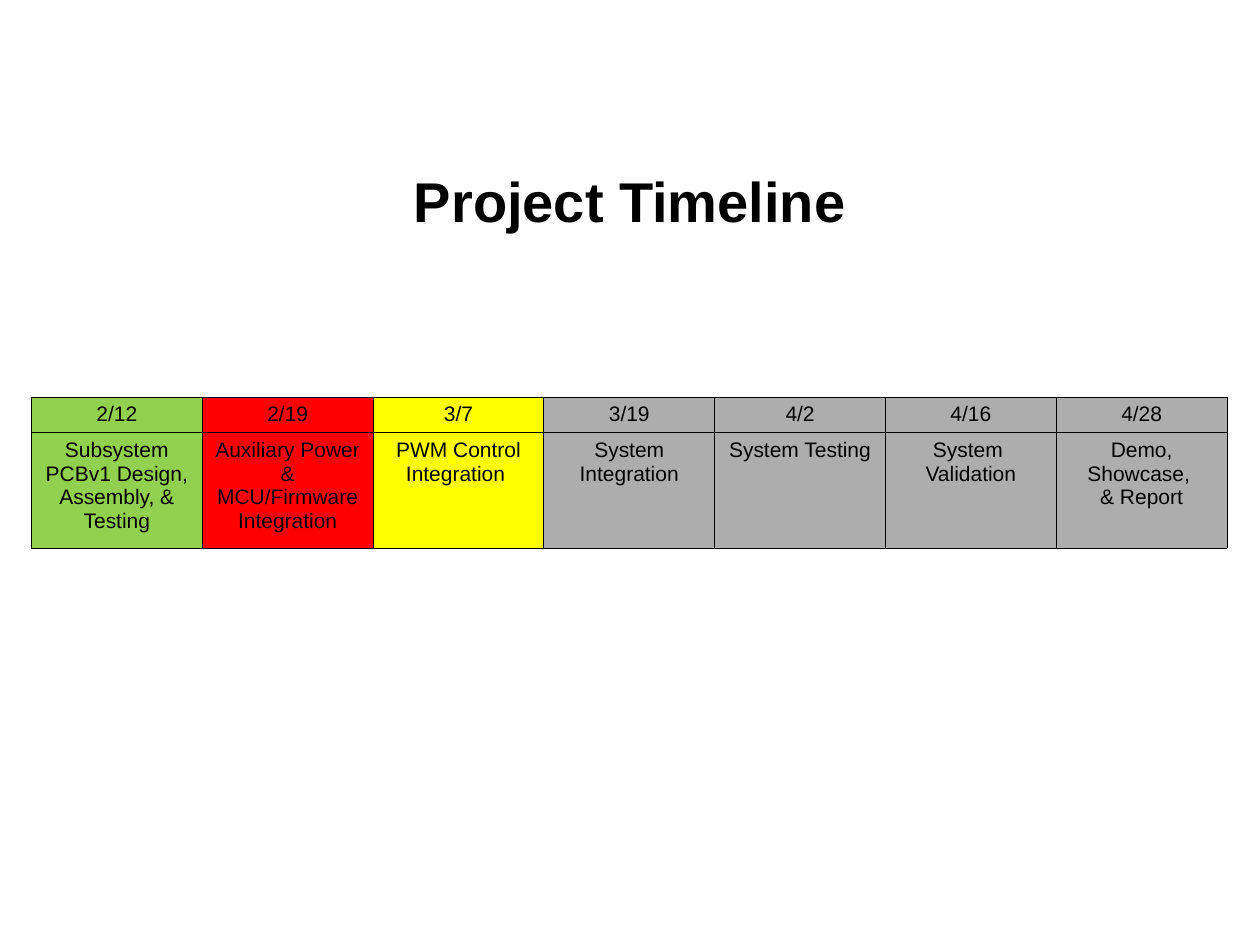
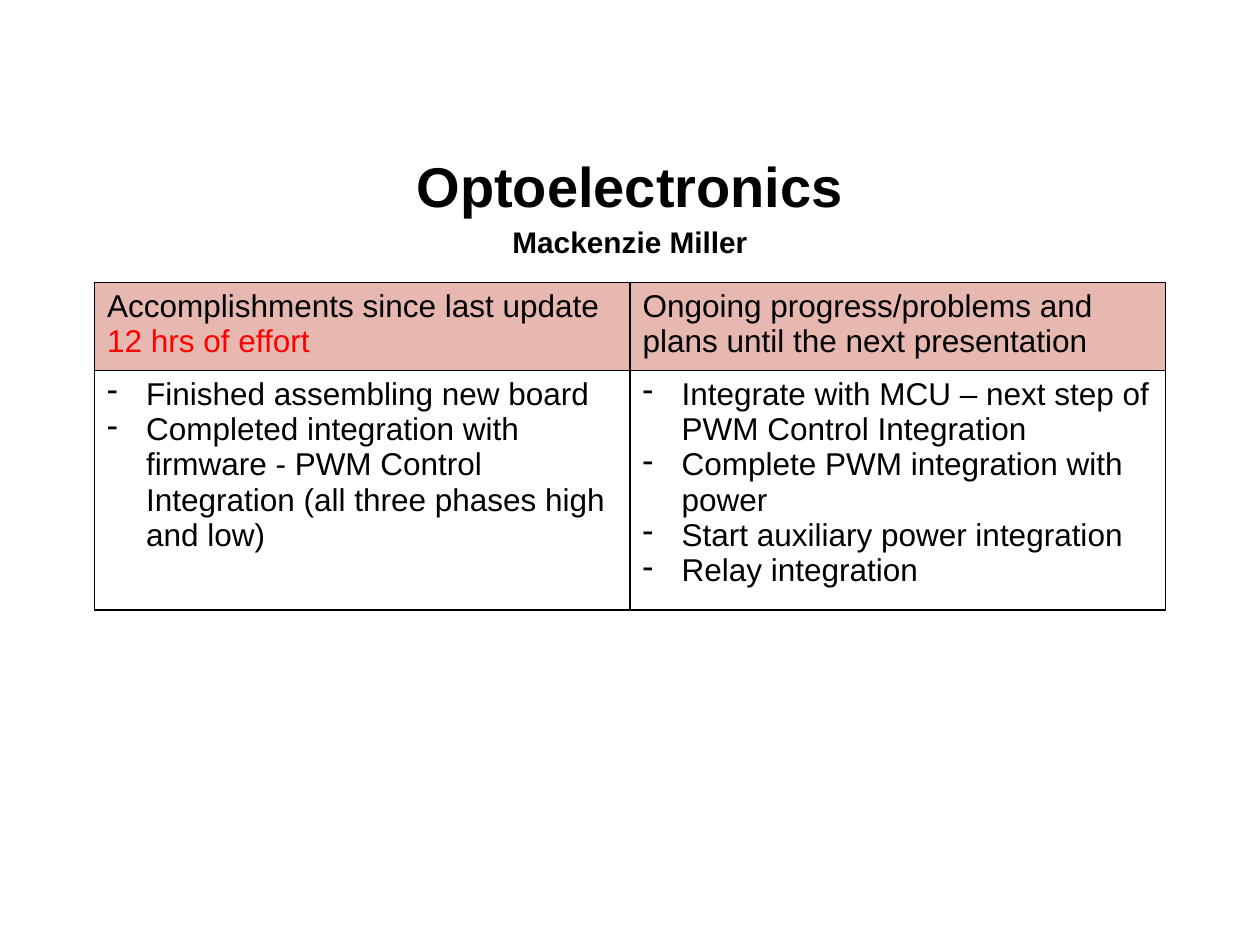
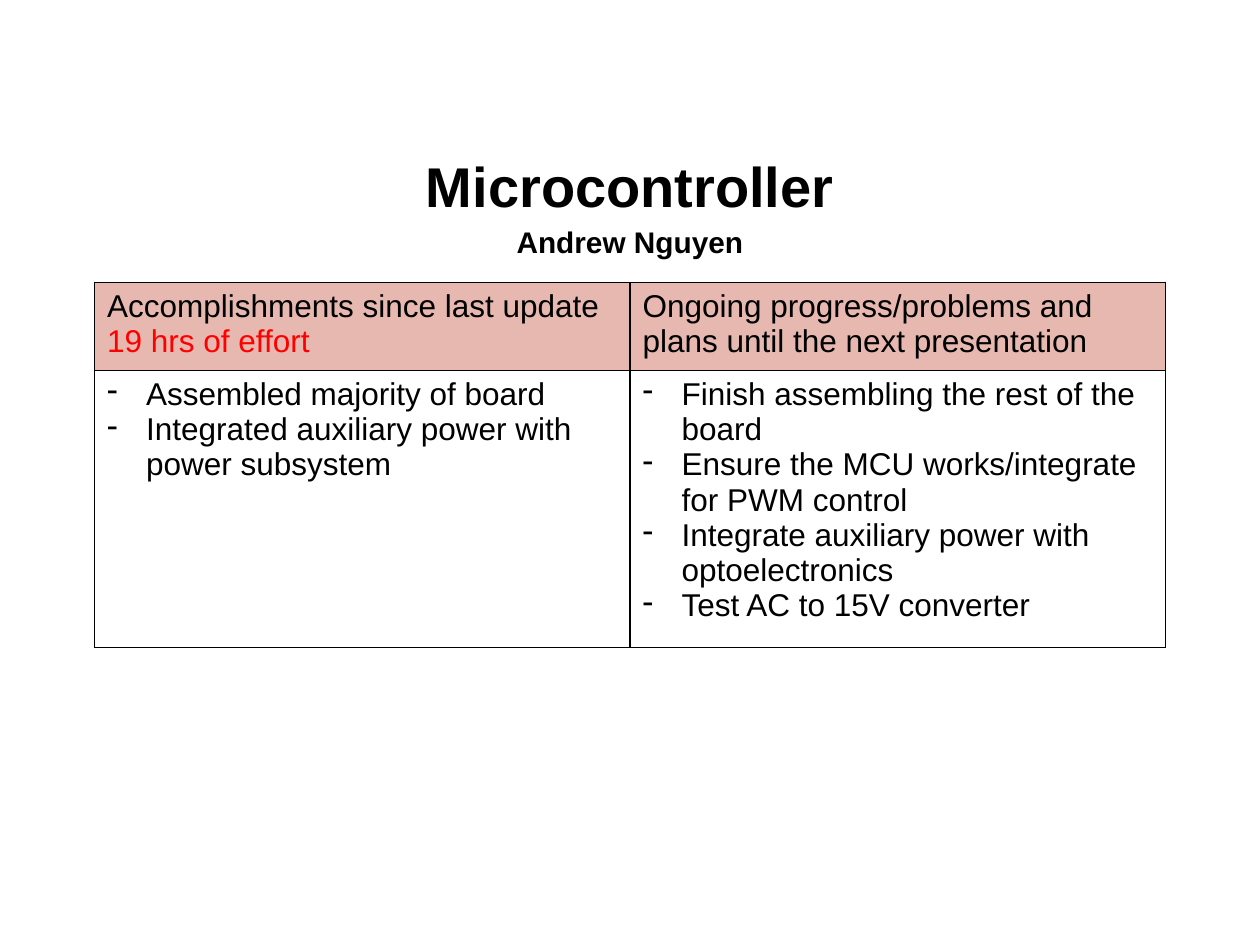
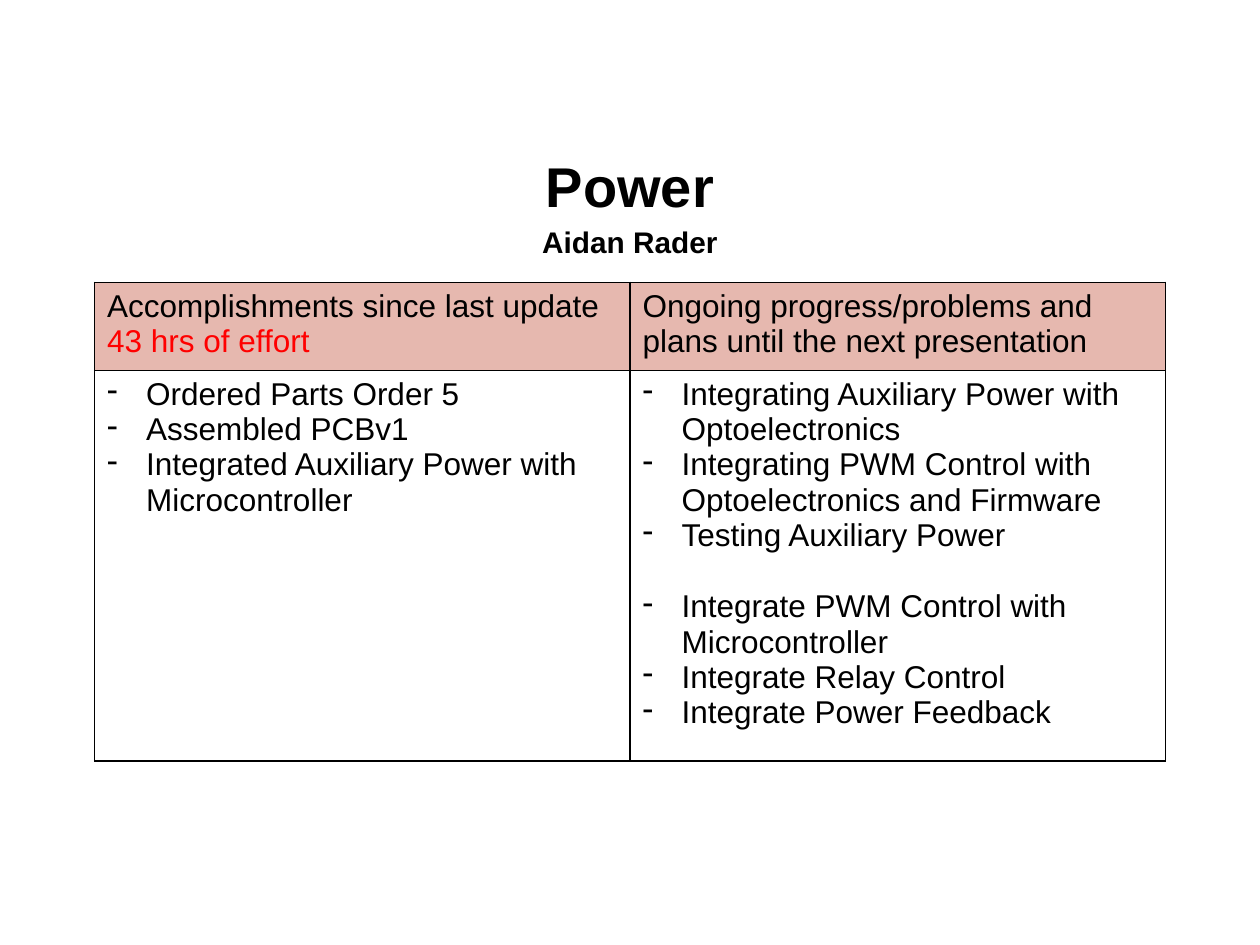
from lxml import etree
from pptx import Presentation
from pptx import util as u
from pptx.dml.color import RGBColor
from pptx.enum import text
from pptx.oxml import ns

PX = u.Inches(1) // 100
FONT = "Arial"
BLACK, RED, YELLOW, GREEN, GRAY, ROSE = (
    "000000", "FF0000", "FFFF00", "92D050", "ADADAD", "E6B8AF")
TITLE_BOX = (50, 115, 900, 88)
TIMELINE_BOX = (25, 315, 949, 120)
BLANK_LINE = 20.7

MILESTONES = [
    ("2/12", ["Subsystem PCBv1 Design, Assembly, & Testing"], GREEN),
    ("2/19", ["Auxiliary Power & MCU/Firmware Integration"], RED),
    ("3/7", ["PWM Control Integration "], YELLOW),
    ("3/19", ["System Integration"], GRAY),
    ("4/2", ["System Testing"], GRAY),
    ("4/16", ["System ", "Validation"], GRAY),
    ("4/28", ["Demo, Showcase, ", "& Report"], GRAY),
]

UPDATES = [
    dict(topic="Optoelectronics", member="Mackenzie Miller",
         effort=" 12 hrs of effort", height=260,
         done=["Finished assembling new board",
               "Completed integration with firmware - PWM Control Integration "
               "(all three phases high and low)"],
         plans=[["Integrate with MCU – next step of PWM Control Integration",
                 "Complete PWM integration with power",
                 "Start auxiliary power integration",
                 "Relay integration"]]),
    dict(topic="Microcontroller", member="Andrew Nguyen",
         effort="19 hrs of effort", height=290,
         done=["Assembled majority of board",
               "Integrated auxiliary power with power subsystem"],
         plans=[["Finish assembling the rest of the board",
                 "Ensure the MCU works/integrate for PWM control",
                 "Integrate auxiliary power with optoelectronics",
                 "Test AC to 15V converter"]]),
    dict(topic="Power", member="Aidan Rader",
         effort="43 hrs of effort", height=380,
         done=["Ordered Parts Order 5",
               "Assembled PCBv1",
               "Integrated Auxiliary Power with Microcontroller"],
         plans=[["Integrating Auxiliary Power with Optoelectronics",
                 "Integrating PWM Control with Optoelectronics and Firmware",
                 "Testing Auxiliary Power"],
                ["Integrate PWM Control with Microcontroller",
                 "Integrate Relay Control",
                 "Integrate Power Feedback"]]),
]


def px(length):
    return u.Emu(length * PX)


def color(value):
    return RGBColor.from_string(value)


def add_dash(para):
    props = para._p.get_or_add_pPr()
    props.set("marL", str(px(31)))
    props.set("indent", str(px(-31)))
    etree.SubElement(props, ns.qn("a:buChar")).set("char", "-")


def write(frame, words, size=18, ink=BLACK, bold=False, align=None,
          spacing=None, before=None, dash=False, same_para=False):
    para = frame.paragraphs[-1]
    if para.runs and not same_para:
        para = frame.add_paragraph()
    if dash:
        add_dash(para)
    if align is not None:
        para.alignment = align
    if spacing:
        para.line_spacing = spacing
    if before:
        para.space_before = u.Pt(before)
    span = para.add_run()
    span.text = words
    span.font.name = FONT
    span.font.size = u.Pt(size)
    span.font.bold = bold
    span.font.color.rgb = color(ink)


def set_margins(target, left=10, top=5, right=10, bottom=5):
    target.margin_left, target.margin_top = px(left), px(top)
    target.margin_right, target.margin_bottom = px(right), px(bottom)


def outline(cell, width):
    props = cell._tc.get_or_add_tcPr()
    for place, side in enumerate(("lnL", "lnR", "lnT", "lnB")):
        line = etree.Element(ns.qn(f"a:{side}"), w=str(u.Pt(width)))
        fill = etree.SubElement(line, ns.qn("a:solidFill"))
        etree.SubElement(fill, ns.qn("a:srgbClr"), val=BLACK)
        props.insert(place, line)


def add_grid(page, box, columns, row_heights, border):
    left, top, width, height = box
    table = page.shapes.add_table(
        len(row_heights), columns, px(left), px(top), px(width), px(height)).table
    table.first_row = table.horz_banding = False
    for column in table.columns:
        column.width = px(width) // columns
    for row, row_height in zip(table.rows, row_heights):
        row.height = px(row_height)
    for cell in table.iter_cells():
        set_margins(cell)
        cell.fill.background()
        outline(cell, border)
    return table


def paint(cell, value):
    cell.fill.solid()
    cell.fill.fore_color.rgb = color(value)


def add_page(deck, title, box, subtitle=None):
    page = deck.slides.add_slide(deck.slide_layouts[5])
    shape = page.shapes.title
    shape.left, shape.top, shape.width, shape.height = map(px, box)
    frame = shape.text_frame
    frame.auto_size = text.MSO_AUTO_SIZE.NONE
    frame.vertical_anchor = text.MSO_ANCHOR.MIDDLE
    set_margins(frame)
    style = dict(bold=True, align=text.PP_ALIGN.CENTER,
                 spacing=1.15 if subtitle else None)
    write(frame, title, size=32, **style)
    if subtitle:
        write(frame, subtitle, size=17, **style)
    return page


def add_timeline(page, box):
    table = add_grid(page, box, len(MILESTONES), (28, box[3] - 28), 0.5)
    for column, (date, tasks, status) in enumerate(MILESTONES):
        date_cell, task_cell = table.cell(0, column), table.cell(1, column)
        set_margins(date_cell, 1, 1, 1, 5)
        date_cell.vertical_anchor = text.MSO_ANCHOR.BOTTOM
        for cell, lines in ((date_cell, [date]), (task_cell, tasks)):
            paint(cell, status)
            for line in lines:
                write(cell.text_frame, line, size=12, align=text.PP_ALIGN.CENTER)


def add_update(page, box, effort, done, plans):
    table = add_grid(page, box, 2, (70, box[3] - 70), 1)
    for column in range(2):
        paint(table.cell(0, column), ROSE)
    heading = table.cell(0, 0).text_frame
    write(heading, "Accomplishments since last update ")
    write(heading, effort, ink=RED, same_para=True)
    write(table.cell(0, 1).text_frame,
          "Ongoing progress/problems and plans until the next presentation")
    for column, groups in enumerate(([done], plans)):
        frame = table.cell(1, column).text_frame
        for group_index, group in enumerate(groups):
            for item_index, item in enumerate(group):
                gap = BLANK_LINE if group_index and not item_index else None
                write(frame, item, dash=True, before=gap)


def main():
    deck = Presentation()
    deck.slide_width, deck.slide_height = px(1000), px(750)
    add_timeline(add_page(deck, "Project Timeline", TITLE_BOX), TIMELINE_BOX)
    for update in UPDATES:
        page = add_page(deck, update["topic"], TITLE_BOX, update["member"])
        add_update(page, (75, 224, 850, update["height"]),
                   update["effort"], update["done"], update["plans"])
    deck.save("out.pptx")


if __name__ == "__main__":
    main()
